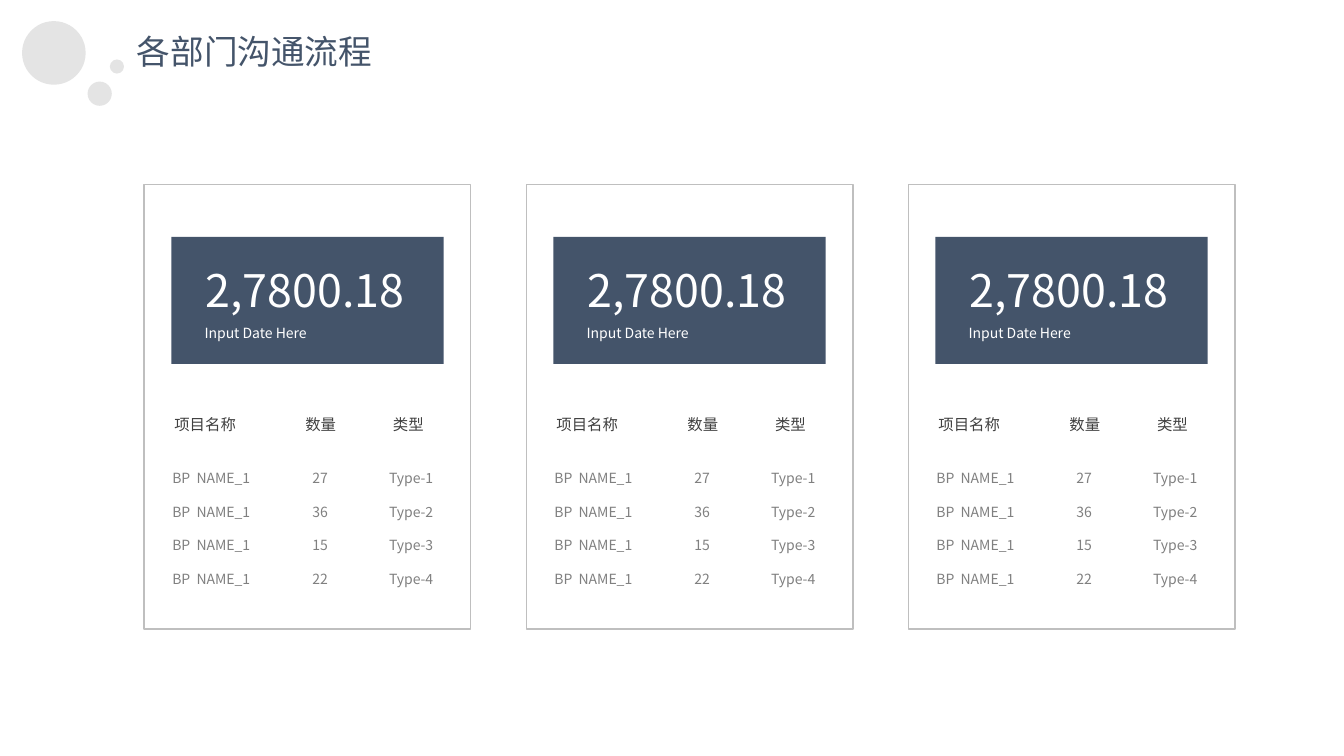
from pptx import Presentation
from pptx.dml.color import RGBColor
from pptx.enum.shapes import MSO_SHAPE
from pptx.enum.text import MSO_AUTO_SIZE, PP_ALIGN
from pptx.oxml.ns import qn
from pptx.util import Pt

CIRCLE = MSO_SHAPE.FLOWCHART_CONNECTOR
CARD = MSO_SHAPE.ROUNDED_RECTANGLE
GROW = MSO_AUTO_SIZE.SHAPE_TO_FIT_TEXT
JUSTIFY = PP_ALIGN.JUSTIFY

# Content
FONT = "Noto Sans CJK SC"
NAVY, WHITE, DARK, GREY = "44546A", "FFFFFF", "404040", "808080"
BUBBLE, BORDER = "D9D9D9", "BFBFBF"
TITLE = "各部门沟通流程"
AMOUNT = "2,7800.18"
CAPTION = "Input Date Here"
# heading, its offset and width, entries, their offset and width
COLUMNS = [
    ("项目名称", 14.4, 59, ["BP  NAME_1"] * 4, 13, 71.3),
    ("数量", 108, 36.7, ["27", "36", "15", "22"], 113, 25.9),
    ("类型", 170.6, 36.7, ["Type-1", "Type-2", "Type-3", "Type-4"], 167.8, 46.8),
]
BUBBLES = [(15.8, 15.1, 45.4), (62.6, 58.3, 17.3), (78.5, 42.5, 10.1)]  # left, top, size

# Layout
CARD_COUNT, CARD_LEFT, CARD_PITCH = 3, 103, 272.9
CARD_TOP, CARD_WIDTH, CARD_HEIGHT = 131.8, 233.3, 317.5
BANNER_TOP, BANNER_WIDTH, BANNER_HEIGHT = 169.2, 194.4, 90.7
BANNER_INSET = (CARD_WIDTH - BANNER_WIDTH) / 2

presentation = Presentation()
presentation.slide_width, presentation.slide_height = Pt(960), Pt(540)
slide = presentation.slides.add_slide(presentation.slide_layouts[6])


def color(hex_string):
    return RGBColor.from_string(hex_string)


def add_shape(kind, left, top, width, height, fill=None, line=None, opacity=None):
    shape = slide.shapes.add_shape(kind, Pt(left), Pt(top), Pt(width), Pt(height))
    shape.shadow.inherit = False
    if kind == CARD:
        shape.adjustments[0] = 0
    if fill:
        shape.fill.solid()
        shape.fill.fore_color.rgb = color(fill)
    else:
        shape.fill.background()
    if line:
        shape.line.color.rgb = color(line)
        shape.line.width = Pt(1)
    else:
        shape.line.fill.background()
    if opacity:
        tint = shape.fill._xPr.find(qn("a:solidFill"))[0]
        tint.makeelement(qn("a:alpha"), {})
        alpha = tint.makeelement(qn("a:alpha"), {"val": str(opacity * 1000)})
        tint.append(alpha)


def add_text(lines, left, top, width, height, *, size, ink,
             wrap=False, align=None, spacing=None):
    box = slide.shapes.add_textbox(Pt(left), Pt(top), Pt(width), Pt(height))
    frame = box.text_frame
    frame.word_wrap = wrap
    frame.auto_size = GROW
    frame.text = "\n".join(lines)
    for paragraph in frame.paragraphs:
        paragraph.alignment = align
        paragraph.line_spacing = spacing
        run = paragraph.runs[0]
        run.font.size = Pt(size)
        run.font.color.rgb = color(ink)
        run.font.name = FONT
        east_asian = run.font._element.makeelement(qn("a:ea"), {"typeface": FONT})
        run.font._element.append(east_asian)


# Title with bubbles
for left, top, size in BUBBLES:
    add_shape(CIRCLE, left, top, size, size, fill=BUBBLE, opacity=70)
add_text([TITLE], 90.7, 18.7, 184.3, 36, size=24, ink=NAVY)

# Department cards
for index in range(CARD_COUNT):
    left = CARD_LEFT + index * CARD_PITCH

    # Banner and frame
    add_shape(CARD, left + BANNER_INSET, BANNER_TOP, BANNER_WIDTH, BANNER_HEIGHT, fill=NAVY)
    add_shape(CARD, left, CARD_TOP, CARD_WIDTH, CARD_HEIGHT, line=BORDER)
    add_text([AMOUNT], left + 36.7, 184.3, 157.7, 46.1, size=32, ink=WHITE)
    add_text([CAPTION], left + 36, 228.2, 104.4, 19.4, size=10, ink=WHITE,
             wrap=True, align=JUSTIFY)

    # Item columns
    for heading, heading_x, heading_width, entries, entries_x, entries_width in COLUMNS:
        add_text([heading], left + heading_x, 293, heading_width, 20.9, size=11, ink=DARK)
        add_text(entries, left + entries_x, 319.7, entries_width, 99.4, size=10,
                 ink=GREY, spacing=2.0)

presentation.save("out.pptx")
